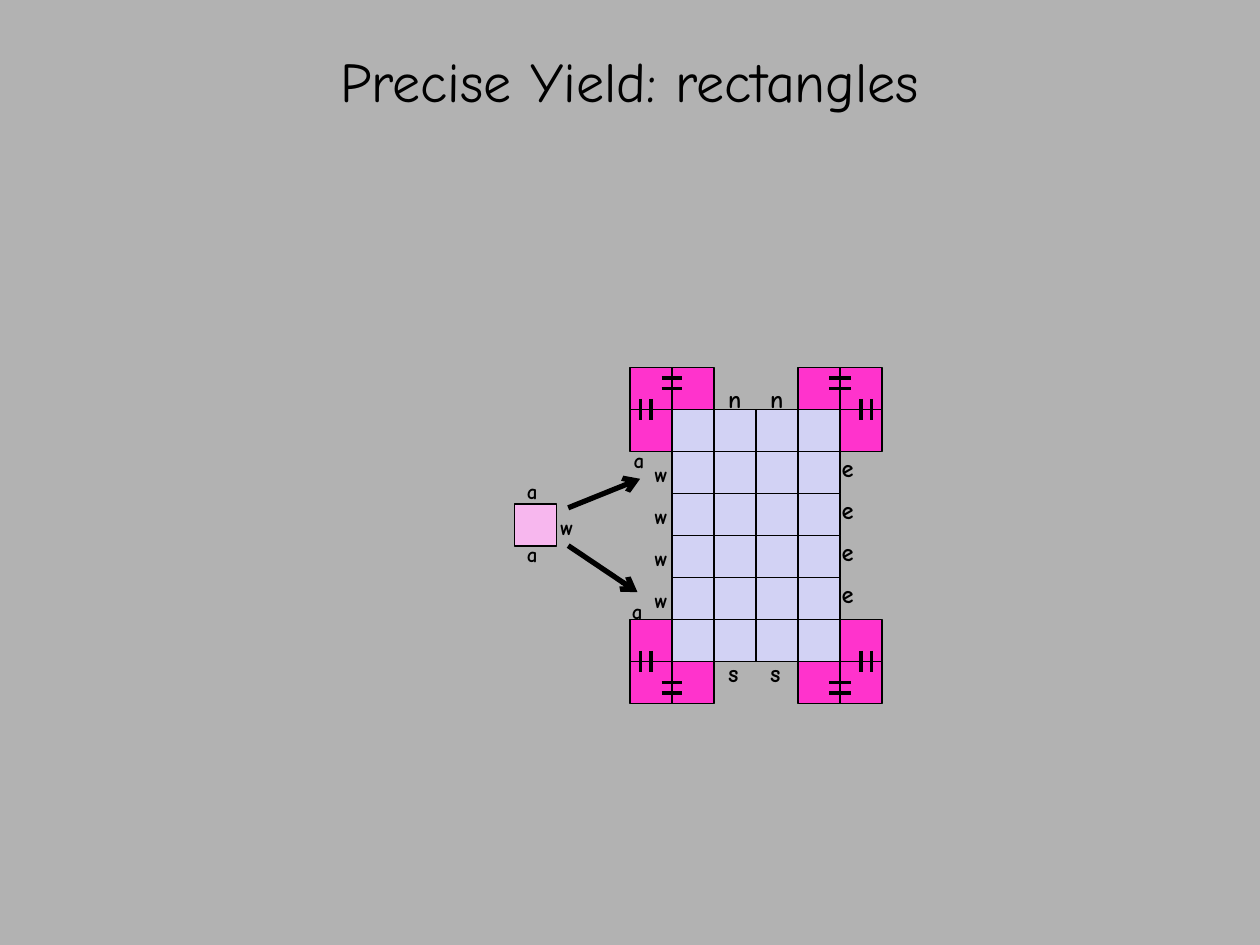
from itertools import product

from lxml import etree
from pptx import Presentation
from pptx.dml.color import RGBColor
from pptx.enum.shapes import MSO_CONNECTOR as CONN, MSO_SHAPE as SHAPE
from pptx.enum.text import MSO_AUTO_SIZE as AUTO, PP_ALIGN as ALIGN
from pptx.oxml.ns import qn
from pptx.util import Pt

CELL = 24
COLS, ROWS = 4, 6
LEFT, TOP = 384, 234
RIGHT, BOTTOM = LEFT + COLS * CELL, TOP + ROWS * CELL
BLACK, GREY = "000000", "B2B2B2"
LILAC, MAGENTA, PINK = "D2D2F4", "FF33CC", "F7B7EE"


def color(hex_code):
    return RGBColor.from_string(hex_code)


def set_run(p, text, **formats):
    r = p.add_run()
    r.text = text
    r.font.color.rgb = color(BLACK)
    for name, value in {"name": "Comic Neue", **formats}.items():
        setattr(r.font, name, value)


def add_title(s, text):
    tf = s.shapes.add_textbox(0, 0, Pt(720), Pt(48)).text_frame
    tf.word_wrap = True
    tf.margin_top, tf.margin_bottom = Pt(26.5), 0
    p = tf.paragraphs[0]
    p.alignment = ALIGN.CENTER
    set_run(p, text, size=Pt(32))


def add_label(s, text, x, y, size=12):
    width, height = (22.3, 24.5) if size == 14 else (22, 21.6)
    tf = s.shapes.add_textbox(Pt(x), Pt(y), Pt(width), Pt(height)).text_frame
    tf.word_wrap = False
    tf.auto_size = AUTO.SHAPE_TO_FIT_TEXT
    set_run(tf.paragraphs[0], text, size=Pt(size), bold=True)


def add_tile(s, x, y, fill):
    sp = s.shapes.add_shape(SHAPE.RECTANGLE, Pt(x), Pt(y), Pt(CELL), Pt(CELL))
    sp.shadow.inherit = False
    sp.fill.solid()
    sp.fill.fore_color.rgb = color(fill)
    sp.line.color.rgb = color(BLACK)
    sp.line.width = Pt(0.75)


def add_line(s, x1, y1, x2, y2, width=2.25, arrow=False):
    sp = s.shapes.add_connector(CONN.STRAIGHT, Pt(x1), Pt(y1), Pt(x2), Pt(y2))
    sp.line.color.rgb = color(BLACK)
    sp.line.width = Pt(width)
    if arrow:
        etree.SubElement(sp.line._get_or_add_ln(), qn("a:tailEnd"), type="arrow")
    etree.SubElement(sp._element.spPr, qn("a:effectLst"))


def add_corner(s, x, y, dx, dy):
    """Three tiles around a grid corner, with equal signs across their joints.

    dx and dy are -1 or 1 and point away from the grid.
    """
    out_x, in_x = (x - CELL, x) if dx < 0 else (x, x - CELL)
    out_y, in_y = (y - CELL, y) if dy < 0 else (y, y - CELL)
    for tile in ((out_x, out_y), (in_x, out_y), (out_x, in_y)):
        add_tile(s, *tile, MAGENTA)
    for offset, half in product((12, 18), (-6, 0)):
        bar_x, bar_y = x + dx * offset, y + dy * offset
        add_line(s, x + half, bar_y, x + half + 6, bar_y)
        add_line(s, bar_x, y + half, bar_x, y + half + 6)


def main():
    prs = Presentation()
    prs.slide_width, prs.slide_height = Pt(720), Pt(540)
    s = prs.slides.add_slide(prs.slide_layouts[6])
    s.background.fill.solid()
    s.background.fill.fore_color.rgb = color(GREY)
    add_title(s, "Precise Yield: rectangles")

    for col, row in product(range(COLS), range(ROWS)):
        add_tile(s, LEFT + col * CELL, TOP + row * CELL, LILAC)

    for i in range(COLS - 2):
        add_label(s, "n", 409 + i * CELL, 216, 14)
        add_label(s, "s", 409 + i * CELL, 372.3, 14)
    for i in range(ROWS - 2):
        add_label(s, "e", 473.8, 255.5 + i * CELL, 14)
        add_label(s, "w", 367, 260.2 + i * CELL)

    for (x, dx), (y, dy) in product(((LEFT, -1), (RIGHT, 1)),
                                    ((TOP, -1), (BOTTOM, 1))):
        add_corner(s, x, y, dx, dy)

    add_tile(s, 294, 288, PINK)
    for text, x, y in (("a", 294, 270), ("w", 313.2, 290.2), ("a", 294, 306),
                       ("a", 355, 252), ("a", 354, 338.4)):
        add_label(s, text, x, y)
    add_line(s, 324.7, 290.2, 365.8, 273.6, 3, arrow=True)
    add_line(s, 324.7, 311.8, 364.3, 338.4, 3, arrow=True)
    prs.save("out.pptx")


if __name__ == "__main__":
    main()
